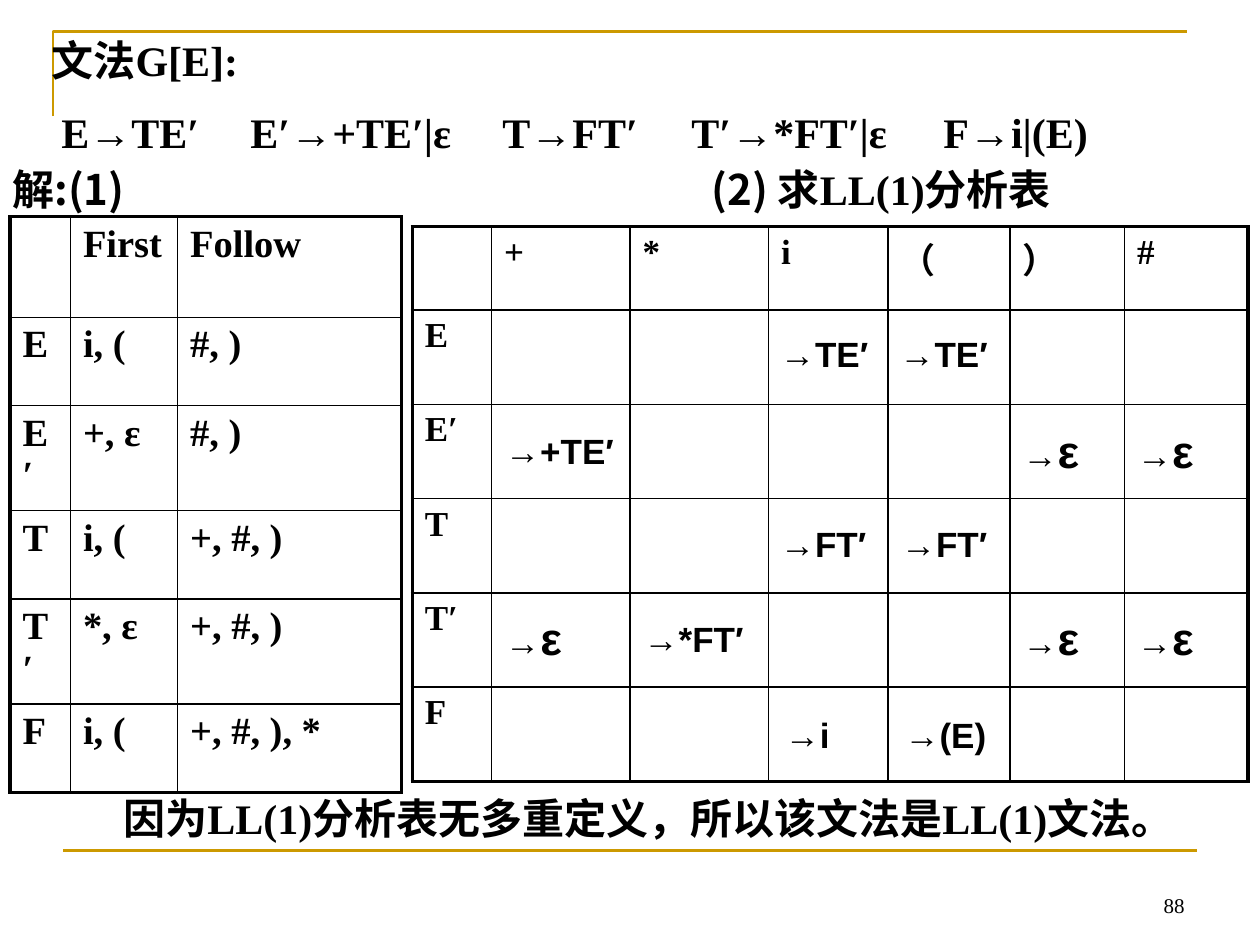
from lxml.etree import SubElement
from pptx import Presentation
from pptx.dml.color import RGBColor
from pptx.enum.shapes import MSO_CONNECTOR
from pptx.enum.text import MSO_ANCHOR, PP_ALIGN
from pptx.oxml import parse_xml
from pptx.oxml.ns import nsdecls, qn
from pptx.util import Cm, Pt

BLACK = RGBColor(0x00, 0x00, 0x00)
GOLD = RGBColor(0xCC, 0x99, 0x00)
SERIF, SANS, CJK = "Times New Roman", "Arial", "Noto Sans CJK SC"
THIN, THICK = 1, 2.25


def write(p, text, size=24, font=SERIF, bold=True, align=None, before=0):
    """Fill a paragraph; text is a string or a list of (string, overrides)."""
    if align is not None:
        p.alignment = align
    if before:
        p.space_before = Pt(before)
    for part, own in [(text, {})] if isinstance(text, str) else text:
        r = p.add_run()
        r.text = part
        r.font.size = Pt(own.get("size", size))
        r.font.bold = bold
        r.font.color.rgb = BLACK
        r.font.name = own.get("font", font)
        SubElement(r.font._element, qn("a:ea")).set("typeface", CJK)


def set_tabs(p, indent, stops):
    pPr = p._p.get_or_add_pPr()
    pPr.set("marL", str(Cm(indent)))
    pPr.set("indent", "0")
    tabs = SubElement(pPr, qn("a:tabLst"))
    for stop in stops:
        SubElement(tabs, qn("a:tab"), pos=str(Cm(stop)), algn="l")


def set_borders(cell, widths):
    """Set left, right, top and bottom borders; a width of 0 hides the line."""
    tcPr = cell._tc.get_or_add_tcPr()
    for i, (side, width) in enumerate(zip("LRTB", widths)):
        fill = (f'<a:solidFill><a:srgbClr val="{BLACK}"/></a:solidFill>'
                if width else "<a:noFill/>")
        tcPr.insert(i, parse_xml(
            f'<a:ln{side} {nsdecls("a")} w="{Pt(width)}">{fill}</a:ln{side}>'))


class Deck:
    def __init__(self):
        self.prs = Presentation()
        self.prs.slide_width, self.prs.slide_height = Cm(25.4), Cm(19.05)
        self.s = self.prs.slides.add_slide(self.prs.slide_layouts[6])

    def corner(self, left, top, right, bottom):
        builder = self.s.shapes.build_freeform(Cm(left), Cm(bottom))
        builder.add_line_segments(
            [(Cm(left), Cm(top)), (Cm(right), Cm(top))], close=False)
        sp = builder.convert_to_shape()
        sp.shadow.inherit = False
        sp.fill.background()
        sp.line.color.rgb = GOLD
        sp.line.width = Pt(1.5)

    def rule(self, left, right, y):
        line = self.s.shapes.add_connector(
            MSO_CONNECTOR.STRAIGHT, Cm(left), Cm(y), Cm(right), Cm(y))
        line.line.color.rgb = GOLD
        line.line.width = Pt(1.5)
        SubElement(line._element.spPr, qn("a:effectLst"))

    def text(self, box, text, anchor=MSO_ANCHOR.TOP, **style):
        tf = self.s.shapes.add_textbox(*map(Cm, box)).text_frame
        tf.word_wrap = True
        tf.vertical_anchor = anchor
        write(tf.paragraphs[0], text, **style)
        return tf

    def table(self, left, top, cols, rows, data, outer=THICK, inner=THIN,
              anchor=MSO_ANCHOR.TOP, **style):
        table = self.s.shapes.add_table(
            len(rows), len(cols), Cm(left), Cm(top),
            Cm(sum(cols)), Cm(sum(rows))).table
        table.first_row = table.horz_banding = False
        for column, width in zip(table.columns, cols):
            column.width = Cm(width)
        for row, height in zip(table.rows, rows):
            row.height = Cm(height)
        last_row, last_col = len(rows) - 1, len(cols) - 1
        for i, line in enumerate(data):
            for j, text in enumerate(line):
                cell = table.cell(i, j)
                cell.fill.background()
                cell.vertical_anchor = anchor
                edges = (j == 0, j == last_col, i == 0, i == last_row)
                set_borders(cell, [outer if e else inner for e in edges])
                if text:
                    write(cell.text_frame.paragraphs[0], text, **style)

    def entries(self, left, top, cols, height, data):
        """One borderless row of productions laid over the parsing table."""
        self.table(left, top, cols, [height], [data], outer=0, inner=0,
                   anchor=MSO_ANCHOR.MIDDLE, size=20, font=SANS)


def main():
    deck = Deck()
    deck.corner(1.07, 0.64, 23.93, 2.34)
    deck.rule(1.27, 24.13, 17.15)
    deck.text((18.21, 17.35, 5.92, 1.27), "88", anchor=MSO_ANCHOR.BOTTOM,
              size=12, bold=False, align=PP_ALIGN.RIGHT)

    grammar = deck.text((0.79, 0.58, 24.61, 2.82), "文法G[E]:")
    p = grammar.add_paragraph()
    set_tabs(p, 0.2, [3.6, 8.1, 11.45, 17.05])
    write(p, "E→TE′\tE′→+TE′|ε\tT→FT′\tT′→*FT′|ε\tF→i|(E)", before=12)

    deck.text((0, 3.18, 16, 2.82), "解:(1)", font=CJK)
    deck.table(0.2, 4.37, [1.22, 2.16, 4.52],
               [2.03, 1.78, 2.01, 1.78, 2.03, 1.78],
               [["", "First", "Follow"],
                ["E", "i, (", "#, )"],
                ["E′", "+, ε", "#, )"],
                ["T", "i, (", "+, #, )"],
                ["T′", "*, ε", "+, #, )"],
                ["F", "i, (", "+, #, ), *"]], size=22)

    deck.text((14.1, 3.18, 11.3, 1.27),
              [("(2) 求", {}), ("LL(1)", {"font": SERIF}), ("分析表", {})],
              font=CJK)
    symbols = ["", "+", "*", "i", "（", "）", "#"]
    nonterminals = ["E", "E′", "T", "T′", "F"]
    deck.table(8.31, 4.57, [1.6, 2.79, 2.79, 2.41, 2.46, 2.31, 2.49],
               [1.68] + [1.9] * 5,
               [symbols] + [[n] + [""] * 6 for n in nonterminals], size=20)

    deck.text((2.24, 15.85, 21.89, 1.3),
              "因为LL(1)分析表无多重定义，所以该文法是LL(1)文法。")

    epsilon = [("→", {}), ("ε", {"size": 26})]
    pair = [2.41, 2.46]
    full = [2.79, 2.79, 2.39, 2.46, 2.31, 2.49]
    deck.entries(15.47, 6.22, pair, 1.9, ["→TE′", "→TE′"])
    deck.entries(9.93, 8.13, full, 1.98,
                 ["→+TE′", "", "", "", epsilon, epsilon])
    deck.entries(15.47, 10.11, [2.44, 2.51], 1.78, ["→FT′", "→FT′"])
    deck.entries(9.93, 11.91, full, 1.98,
                 [epsilon, "→*FT′", "", "", epsilon, epsilon])
    deck.entries(15.57, 13.89, pair, 1.9, ["→i", "→(E)"])
    deck.prs.save("out.pptx")


if __name__ == "__main__":
    main()
